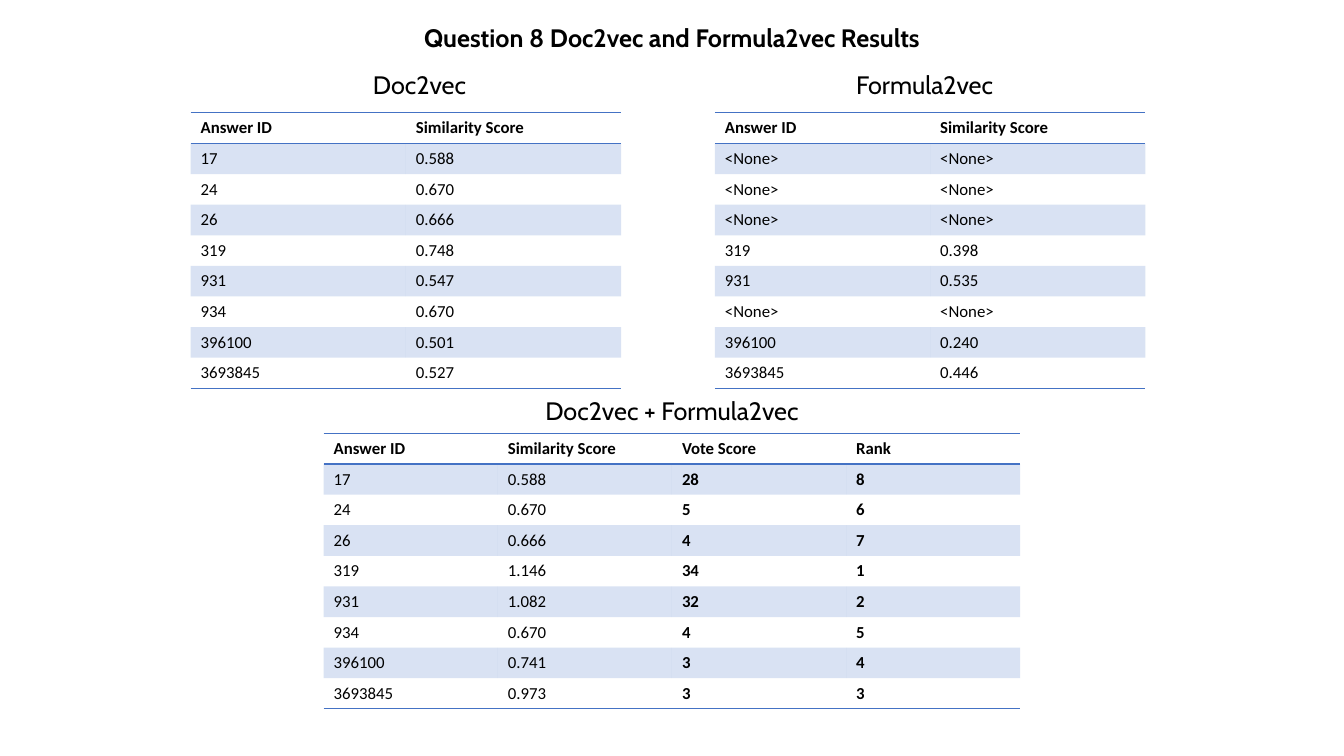
"""Build the slide of Doc2vec and Formula2vec results for question 8."""
from lxml import etree
from pptx import Presentation
from pptx import util as u
from pptx.dml.color import RGBColor
from pptx.enum import text
from pptx.oxml import ns

TITLE = "Question 8 Doc2vec and Formula2vec Results"
ANSWERS = ["17", "24", "26", "319", "931", "934", "396100", "3693845"]
NONE = "<None>"
DOC_SCORES = ["0.588", "0.670", "0.666", "0.748", "0.547", "0.670", "0.501", "0.527"]
FORMULA_SCORES = [NONE, NONE, NONE, "0.398", "0.535", NONE, "0.240", "0.446"]
FORMULA_ANSWERS = [NONE if score == NONE else answer
                   for answer, score in zip(ANSWERS, FORMULA_SCORES)]
SUM_SCORES = ["0.588", "0.670", "0.666", "1.146", "1.082", "0.670", "0.741", "0.973"]
VOTES = ["28", "5", "4", "34", "32", "4", "3", "3"]
RANKS = ["8", "6", "7", "1", "2", "5", "4", "3"]
HEADS = ["Answer ID", "Similarity Score", "Vote Score", "Rank"]

COLORS = {"ink": "000000", "accent": "4472C4"}
WIDTH, HEIGHT = 13.33, 7.5
HALF = 5.01
LEFT = WIDTH / 2 - HALF
LABEL_HEIGHT, ROW_HEIGHT = 0.4, 0.3
BAND_ALPHA = 20
PLAIN_STYLE = "{2D5ABB26-0587-4C30-8999-92F81FD0307C}"

# Each section: heading, heading left and top, table left, top and width, columns
SECTIONS = [
    ("Doc2vec", LEFT, 0.64, 1.89, 1.12, 4.27, [ANSWERS, DOC_SCORES]),
    ("Formula2vec", LEFT + HALF, 0.64, 7.09, 1.12, 4.27,
     [FORMULA_ANSWERS, FORMULA_SCORES]),
    ("Doc2vec + Formula2vec", LEFT + HALF / 2, 3.87, 3.21, 4.3, 6.91,
     [ANSWERS, SUM_SCORES, VOTES, RANKS]),
]


def add_span(para, words, size, font, bold=False):
    span = para.add_run()
    span.text = words
    span.font.size = u.Pt(size)
    span.font.name = font
    span.font.bold = bold
    span.font.color.rgb = RGBColor.from_string(COLORS["ink"])


def write_heading(box, words, left, top, width, bold=False):
    box.left, box.top = u.Inches(left), u.Inches(top)
    box.width, box.height = u.Inches(width), u.Inches(LABEL_HEIGHT)
    frame = box.text_frame
    frame.word_wrap = True
    frame.auto_size = text.MSO_AUTO_SIZE.NONE
    frame.vertical_anchor = text.MSO_ANCHOR.TOP
    para = frame.paragraphs[0]
    para.alignment = text.PP_ALIGN.CENTER
    para.line_spacing = 1.0
    para.space_before = u.Pt(0)
    add_span(para, words, 18, "Cabin", bold)


def add_border(cell, side):
    line = etree.SubElement(cell._tc.get_or_add_tcPr(), ns.qn(f"a:{side}"), w=str(u.Pt(1)))
    paint = etree.SubElement(line, ns.qn("a:solidFill"))
    etree.SubElement(paint, ns.qn("a:srgbClr"), val=COLORS["accent"])


def fill_band(cell):
    cell.fill.solid()
    cell.fill.fore_color.rgb = RGBColor.from_string(COLORS["accent"])
    color = cell._tc.tcPr.find(".//" + ns.qn("a:solidFill") + "/" + ns.qn("a:srgbClr"))
    etree.SubElement(color, ns.qn("a:alpha"), val=str(BAND_ALPHA * 1000))


def add_scores(page, left, top, width, columns):
    rows = [HEADS[:len(columns)], *zip(*columns)]
    frame = page.shapes.add_table(
        len(rows), len(columns), u.Inches(left), u.Inches(top),
        u.Inches(width), u.Inches(ROW_HEIGHT * len(rows)))
    table = frame.table
    table.first_row = table.horz_banding = False
    table._tbl.tblPr.find(ns.qn("a:tableStyleId")).text = PLAIN_STYLE
    for row, values in enumerate(rows):
        for column, value in enumerate(values):
            cell = table.cell(row, column)
            bold = row == 0 or column >= 2
            add_span(cell.text_frame.paragraphs[0], value, 12, "Calibri", bold)
            if row == 0:
                add_border(cell, "lnT")
            if row in (0, len(rows) - 1):
                add_border(cell, "lnB")
            if row % 2:
                fill_band(cell)
            else:
                cell.fill.background()


def main():
    deck = Presentation()
    deck.slide_width, deck.slide_height = u.Inches(WIDTH), u.Inches(HEIGHT)
    page = deck.slides.add_slide(deck.slide_layouts[5])
    write_heading(page.shapes.title, TITLE, LEFT, 0.17, 2 * HALF, bold=True)
    for heading, label_left, label_top, left, top, width, columns in SECTIONS:
        box = page.shapes.add_textbox(0, 0, 0, 0)
        write_heading(box, heading, label_left, label_top, HALF)
        add_scores(page, left, top, width, columns)
    deck.save("out.pptx")


if __name__ == "__main__":
    main()
